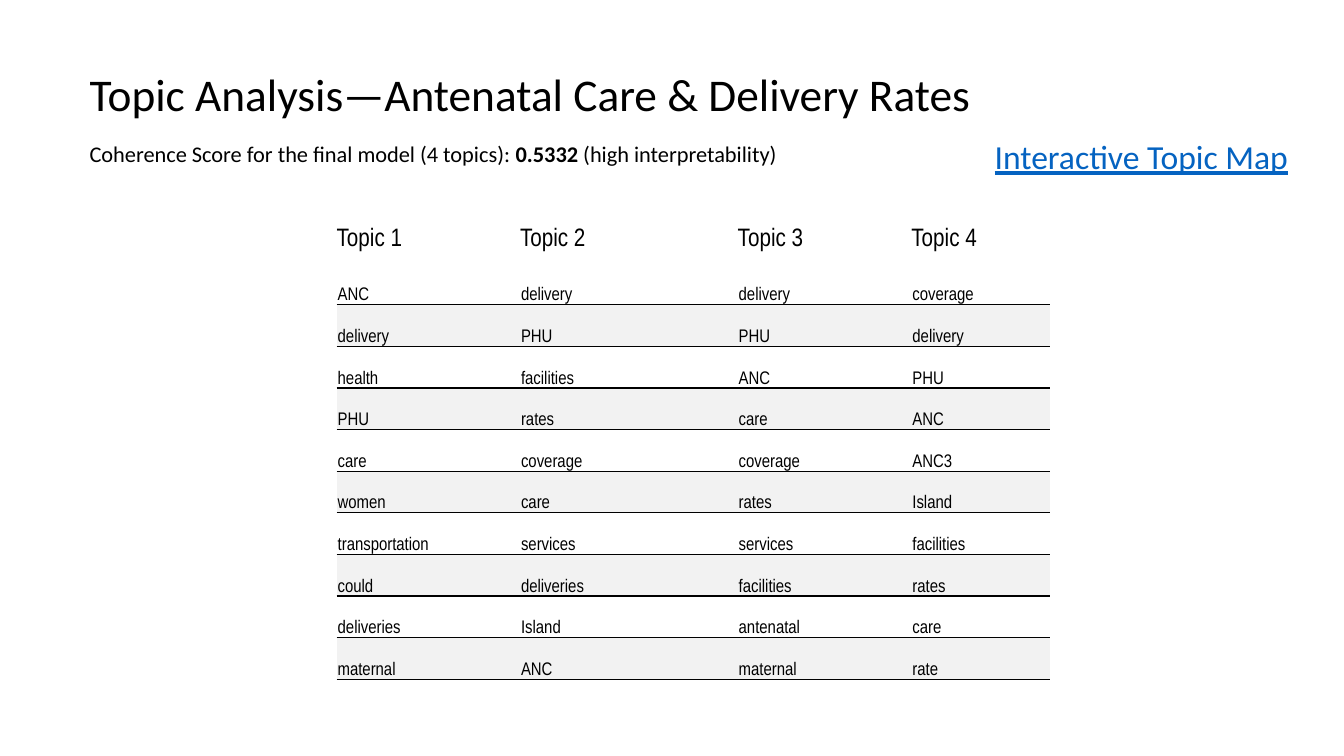
from lxml.etree import SubElement
from pptx import Presentation
from pptx.dml.color import RGBColor
from pptx.enum.text import MSO_ANCHOR as Anchor
from pptx.oxml import parse_xml
from pptx.oxml.ns import nsdecls, qn
from pptx.util import Pt


def color(value):
    return RGBColor.from_string(value)


def add_span(para, text, hue="000000", **formats):
    span = para.add_run()
    span.text = text
    span.font.color.rgb = color(hue)
    for name, value in formats.items():
        setattr(span.font, name, value)


deck = Presentation()
deck.slide_width, deck.slide_height = Pt(960), Pt(540)
page = deck.slides.add_slide(deck.slide_layouts[6])

texts = [
    ((56.9, 40.3, 658.8, 58.3), Anchor.MIDDLE, 0.9, 32.4, [
        ("Topic Analysis—Antenatal Care & Delivery Rates", {}),
    ]),
    ((56.9, 98.6, 531.4, 33.1), Anchor.TOP, 0.9, 16, [
        ("Coherence Score for the final model (4 topics): ", {}),
        ("0.5332", {"bold": True}),
        (" (high interpretability)", {}),
    ]),
    ((703.4, 93.6, 256.3, 36), Anchor.TOP, 1.0, 24, [
        ("Interactive Topic Map", {"hue": "0563C1", "underline": True}),
    ]),
]
for place, anchor, spacing, size, spans in texts:
    box = page.shapes.add_textbox(*map(Pt, place))
    frame = box.text_frame
    frame.word_wrap = True
    frame.vertical_anchor = anchor
    para = frame.paragraphs[0]
    para.line_spacing = spacing
    for text, formats in spans:
        add_span(para, text, name="Calibri", size=Pt(size), **formats)

topic_rows = [
    ("Topic 1", "Topic 2", "Topic 3", "Topic 4"),
    ("ANC", "delivery", "delivery", "coverage"),
    ("delivery", "PHU", "PHU", "delivery"),
    ("health", "facilities", "ANC", "PHU"),
    ("PHU", "rates", "care", "ANC"),
    ("care", "coverage", "coverage", "ANC3"),
    ("women", "care", "rates", "Island"),
    ("transportation", "services", "services", "facilities"),
    ("could", "deliveries", "facilities", "rates"),
    ("deliveries", "Island", "antenatal", "care"),
    ("maternal", "ANC", "maternal", "rate"),
]
column_widths = [131, 155.5, 124.1, 98.7]
header_height, row_height = 35.3, 29.75
header_margins = {"left": 0, "top": 1.44, "right": 0.72, "bottom": 7.92}
word_margins = {"left": 0.72, "top": 0.72, "right": 0.72, "bottom": 0}

holder = page.shapes.add_table(
    len(topic_rows), len(column_widths), Pt(240.5), Pt(152.6),
    Pt(sum(column_widths)), Pt(header_height + 10 * row_height))
table = holder.table
table.first_row = table.horz_banding = False
style = table._tbl.tblPr.find(qn("a:tableStyleId"))
style.text = "{2D5ABB26-0587-4C30-8999-92F81FD0307C}"
for column, width in zip(table.columns, column_widths):
    column.width = Pt(width)

for index, words in enumerate(topic_rows):
    is_header = index == 0
    table.rows[index].height = Pt(header_height if is_header else row_height)
    margins = header_margins if is_header else word_margins
    banded = not is_header and index % 2 == 0
    for column, word in enumerate(words):
        cell = table.cell(index, column)
        cell.vertical_anchor = Anchor.BOTTOM
        for side, margin in margins.items():
            setattr(cell, f"margin_{side}", Pt(margin))
        if not is_header:
            border = parse_xml(f'<a:lnB {nsdecls("a")} w="12700"/>')
            paint = SubElement(border, qn("a:solidFill"))
            SubElement(paint, qn("a:srgbClr"), val="000000")
            cell._tc.get_or_add_tcPr().append(border)
        cell.fill.solid()
        cell.fill.fore_color.rgb = color("F2F2F2" if banded else "FFFFFF")
        add_span(cell.text_frame.paragraphs[0], word,
                 name="Arial Narrow", size=Pt(18 if is_header else 13))

deck.save("out.pptx")
